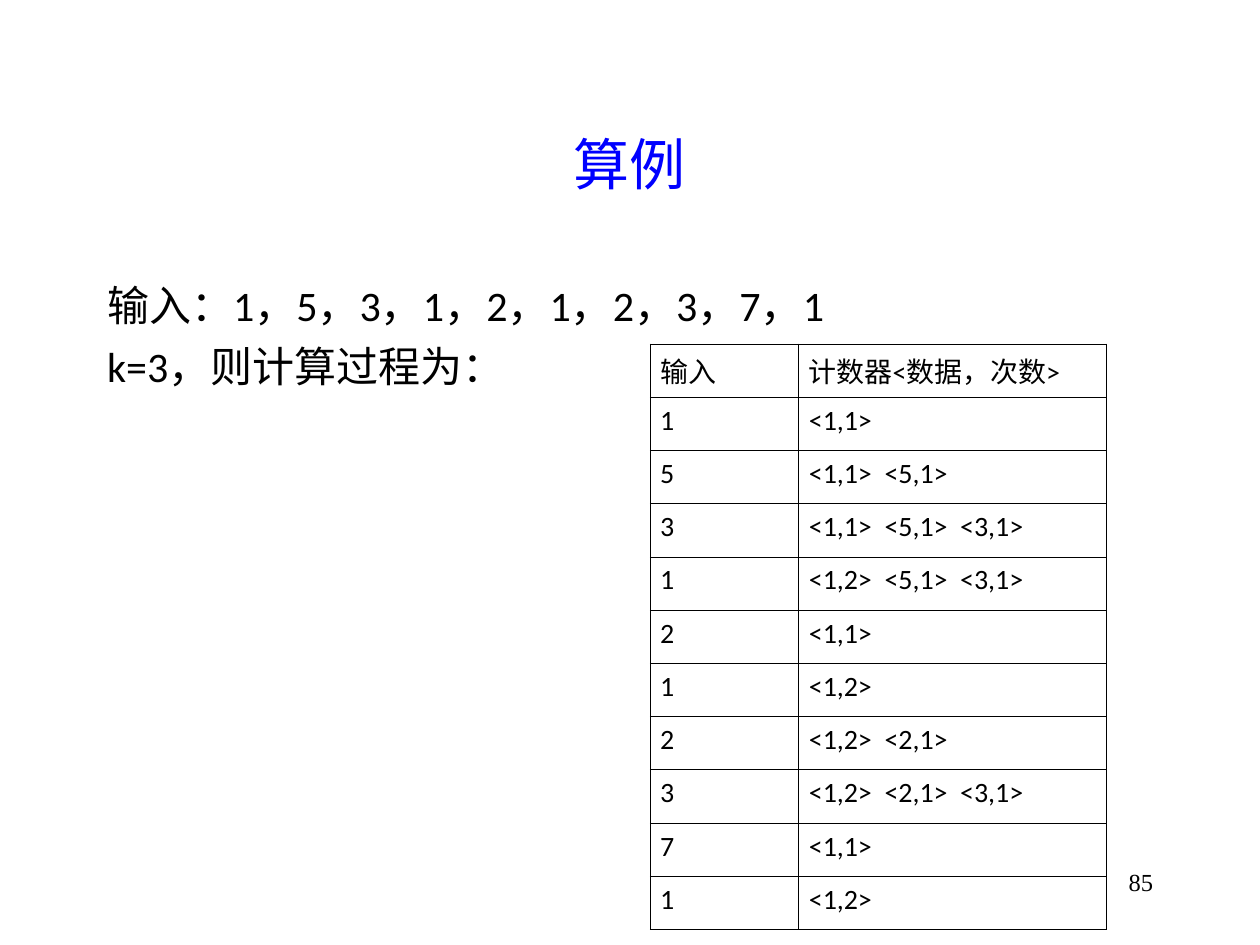
import pptx
import pptx.util
import pptx.dml.color
import pptx.enum.text
import pptx.oxml
import pptx.oxml.ns

TITLE = "算例"
BODY = ["输入：1，5，3，1，2，1，2，3，7，1", "k=3，则计算过程为："]
PAGE = "85"
ROWS = [
    ("输入", "计数器<数据，次数>"),
    ("1", "<1,1>"),
    ("5", "<1,1>  <5,1>"),
    ("3", "<1,1>  <5,1>  <3,1>"),
    ("1", "<1,2>  <5,1>  <3,1>"),
    ("2", "<1,1>"),
    ("1", "<1,2>"),
    ("2", "<1,2>  <2,1>"),
    ("3", "<1,2>  <2,1>  <3,1>"),
    ("7", "<1,1>"),
    ("1", "<1,2>"),
]

THEME = {
    "blue": "0000FF", "black": "000000",
    "serif": "Times New Roman", "sans": "Calibri",
    "title": 32, "body": 24, "cell": 16, "page": 14, "rule": 0.45,
}
ALIGN = pptx.enum.text.PP_ALIGN
ANCHOR = pptx.enum.text.MSO_ANCHOR
INCH = pptx.util.Inches
POINT = pptx.util.Pt
WIDE, HIGH = 10, 7.5
EDGE = 0.075 * WIDE
FULL = WIDE - 2 * EDGE
COLS = (1.18, 2.44)
ROW = 4.65 / len(ROWS)


def write(frame, lines, size, font="sans", color="black", align=ALIGN.JUSTIFY, gap=0, hang=0):
    frame.word_wrap = True
    for i, line in enumerate(lines):
        para = frame.add_paragraph() if i else frame.paragraphs[0]
        para.alignment = align
        para.space_before = POINT(gap)
        run = para.add_run()
        run.text = line
        run.font.size = POINT(THEME[size])
        run.font.name = THEME[font]
        run.font.color.rgb = pptx.dml.color.RGBColor.from_string(THEME[color])
        if hang:
            props = para._p.get_or_add_pPr()
            props.set("marL", str(INCH(hang)))
            props.set("indent", str(-INCH(hang)))
            props.append(pptx.oxml.parse_xml(f"<a:buNone {pptx.oxml.ns.nsdecls('a')}/>"))


def place(shape, left, top, width, height):
    shape.left, shape.top = INCH(left), INCH(top)
    shape.width, shape.height = INCH(width), INCH(height)


def border(cell):
    props = cell._tc.get_or_add_tcPr()
    for i, side in enumerate("LRTB"):
        props.insert(i, pptx.oxml.parse_xml(
            f'<a:ln{side} {pptx.oxml.ns.nsdecls("a")} w="{POINT(THEME["rule"])}">'
            f'<a:solidFill><a:srgbClr val="{THEME["black"]}"/></a:solidFill></a:ln{side}>'))


def grid(slide, left, top):
    frame = slide.shapes.add_table(
        len(ROWS), len(COLS), INCH(left), INCH(top), INCH(sum(COLS)), INCH(ROW * len(ROWS)))
    table = frame.table
    table.first_row = table.horz_banding = False
    for col, width in zip(table.columns, COLS):
        col.width = INCH(width)
    for row, texts in zip(table.rows, ROWS):
        row.height = INCH(ROW)
        for cell, text in zip(row.cells, texts):
            cell.fill.background()
            cell.margin_left = cell.margin_right = INCH(0.08)
            write(cell.text_frame, [text], "cell")
            border(cell)


def main():
    deck = pptx.Presentation()
    deck.slide_width, deck.slide_height = INCH(WIDE), INCH(HIGH)
    slide = deck.slides.add_slide(deck.slide_layouts[1])
    title, body = slide.placeholders
    place(title, EDGE, 0.67, FULL, HIGH / 6)
    title.text_frame.vertical_anchor = ANCHOR.MIDDLE
    write(title.text_frame, [TITLE], "title", font="serif", color="blue", align=ALIGN.CENTER)
    place(body, EDGE, 2.17, FULL, 0.6 * HIGH)
    write(body.text_frame, BODY, "body", gap=6, hang=0.38)
    page = slide.shapes.add_textbox(0, 0, 0, 0)
    place(page, WIDE - EDGE - 2.08, 6.83, 2.08, HIGH / 15)
    write(page.text_frame, [PAGE], "page", font="serif", align=ALIGN.RIGHT)
    grid(slide, 5.16, 2.73)
    deck.save("out.pptx")


if __name__ == "__main__":
    main()
